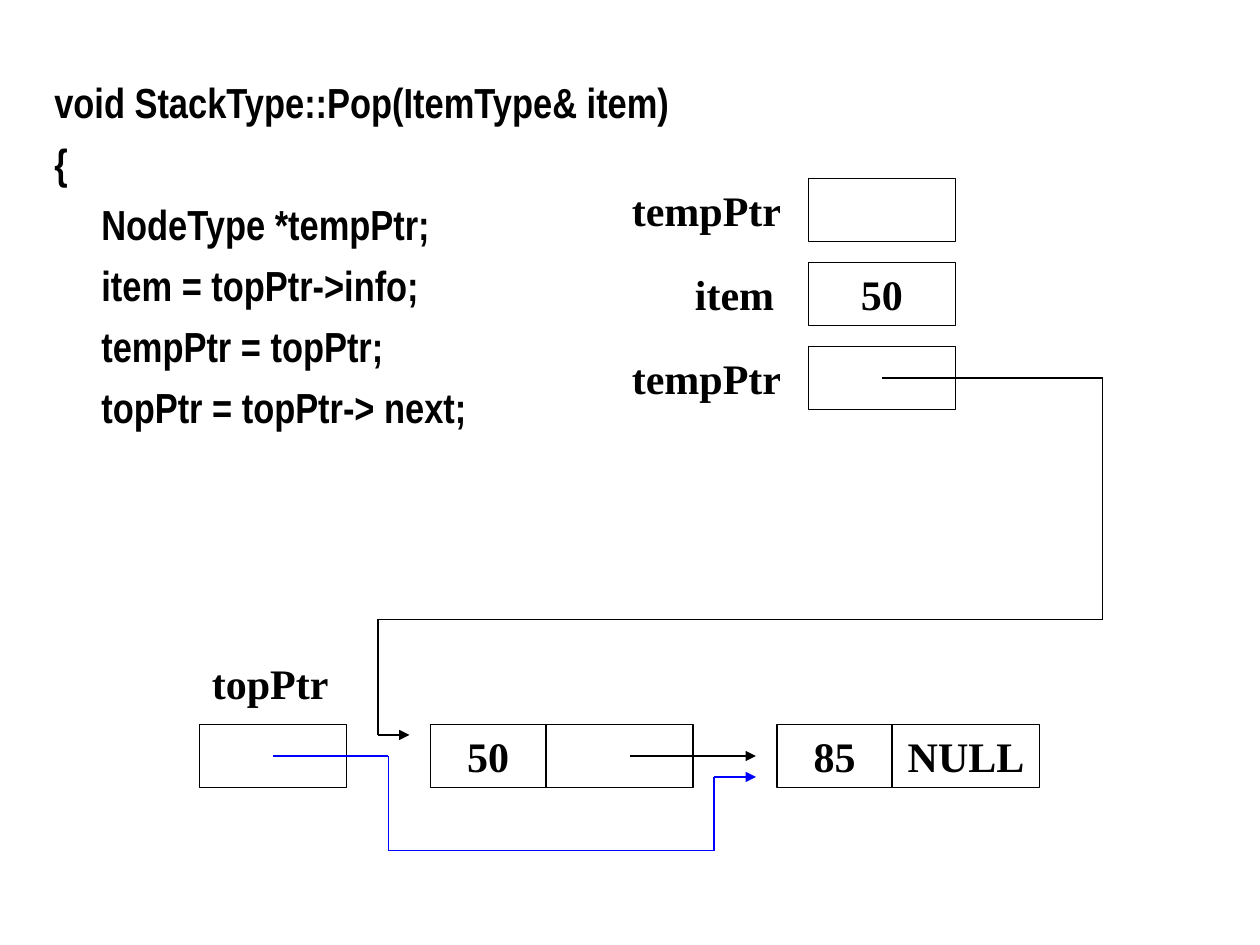
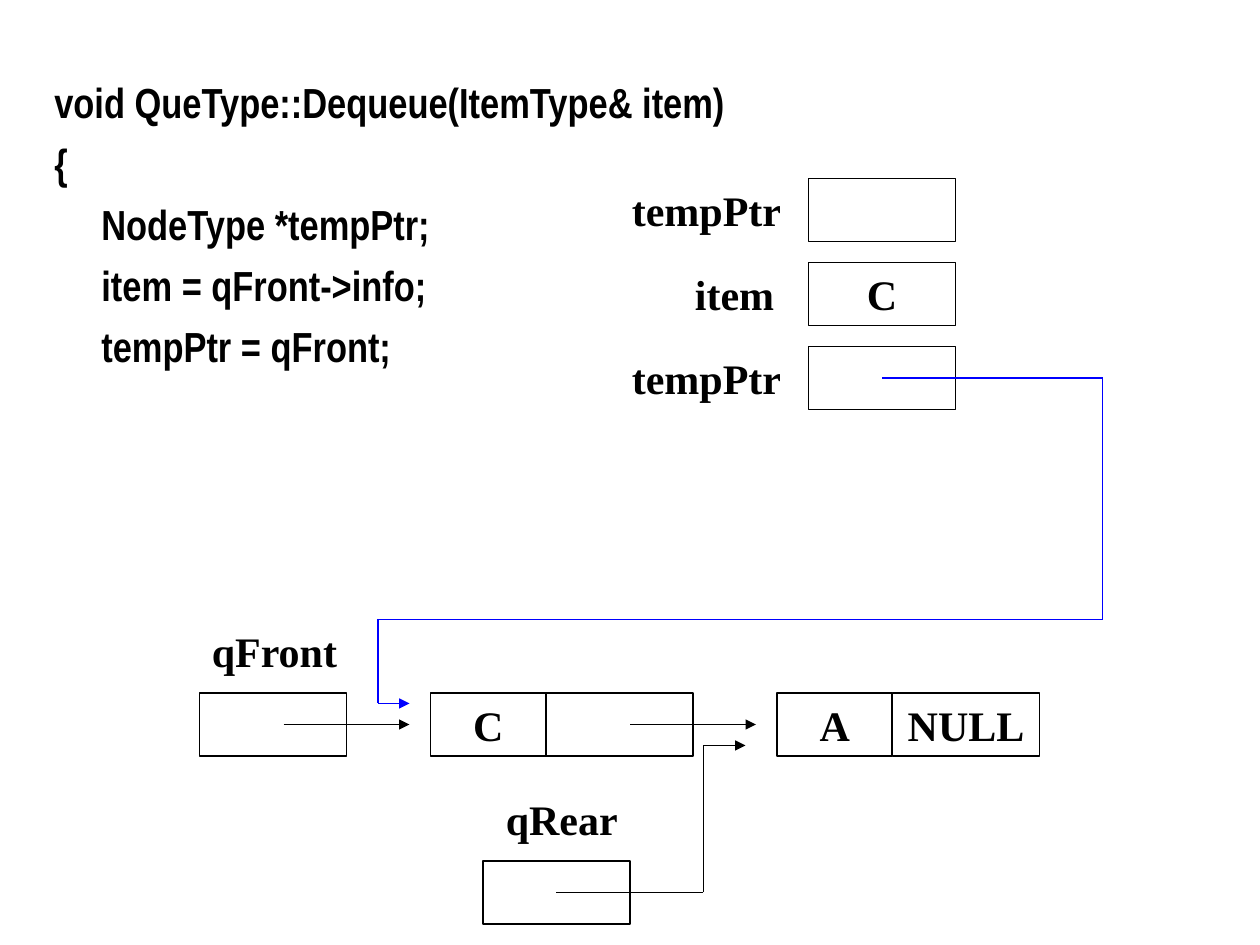
"""Build two slides that trace a stack pop and a queue dequeue on linked nodes."""
from itertools import pairwise

from lxml import etree
from pptx import Presentation
from pptx.dml.color import RGBColor
from pptx.enum.shapes import MSO_CONNECTOR, MSO_SHAPE
from pptx.enum.text import MSO_ANCHOR, MSO_AUTO_SIZE, PP_ALIGN
from pptx.oxml.ns import qn
from pptx.util import Cm, Pt

RECTANGLE = MSO_SHAPE.RECTANGLE
STRAIGHT = MSO_CONNECTOR.STRAIGHT
TOP, MIDDLE = MSO_ANCHOR.TOP, MSO_ANCHOR.MIDDLE
CENTER = PP_ALIGN.CENTER
NO_FIT, GROW = MSO_AUTO_SIZE.NONE, MSO_AUTO_SIZE.SHAPE_TO_FIT_TEXT

BLACK, BLUE, WHITE = "000000", "0000FF", "FFFFFF"
CODE_FONT, DIAGRAM_FONT = "Arial Narrow", "Times New Roman"
UNIT = Cm(2.54) // 12
CELL_HEIGHT, POINTER_WIDTH, INFO_WIDTH = 6, 14, 11
VARIABLE_LEFT, FRONT_LEFT = 77, 19
FIRST_NODE_LEFT, LAST_NODE_LEFT = 41, 74
LABEL_RISE = 7


def add_text(page, left, top, width, text, boxed=True):
    """Add a memory cell, or a plain label when boxed is False, on the grid."""
    place = [UNIT * length for length in (left, top, width, CELL_HEIGHT)]
    if boxed:
        box = page.shapes.add_shape(RECTANGLE, *place)
        box.shadow.inherit = False
        box.fill.solid()
        box.fill.fore_color.rgb = RGBColor.from_string(WHITE)
        box.line.color.rgb = RGBColor.from_string(BLACK)
        box.line.width = Pt(1)
    else:
        box = page.shapes.add_textbox(*place)
        box.text_frame.auto_size = GROW
    frame = box.text_frame
    frame.word_wrap = not boxed
    frame.vertical_anchor = MIDDLE if boxed else TOP
    frame.text = text
    para = frame.paragraphs[0]
    if boxed:
        para.alignment = CENTER
    for span in para.runs:
        span.font.name = DIAGRAM_FONT
        span.font.size = Pt(24)
        span.font.bold = True
        span.font.color.rgb = RGBColor.from_string(BLACK)


def add_arrow(page, points, colour):
    """Join the grid points with straight lines and end in an arrowhead."""
    for start, end in pairwise(points):
        line = page.shapes.add_connector(
            STRAIGHT, *[UNIT * length for length in (*start, *end)])
        line.line.color.rgb = RGBColor.from_string(colour)
        line.line.width = Pt(1)
        properties = line.element.spPr
        etree.SubElement(properties, qn("a:effectLst"))
    outline = properties.find(qn("a:ln"))
    etree.SubElement(outline, qn("a:tailEnd"), type="triangle")


slides = [
    {
        "code": ["void StackType::Pop(ItemType& item)", "{",
                 "NodeType *tempPtr;", "item = topPtr->info;",
                 "tempPtr = topPtr;", "topPtr = topPtr-> next;"],
        "pointer": "topPtr", "first": "50", "last": "85",
        "row": 69, "temp_colour": BLACK,
        "arrows": [([(26, 72), (37, 72), (37, 81), (68, 81), (68, 74), (72, 74)], BLUE)],
    },
    {
        "code": ["void QueType::Dequeue(ItemType& item)", "{",
                 "NodeType *tempPtr;", "item = qFront->info;",
                 "tempPtr = qFront;"],
        "pointer": "qFront", "first": "C", "last": "A",
        "row": 66, "temp_colour": BLUE,
        "arrows": [([(27, 69), (39, 69)], BLACK),
                   ([(53, 85), (67, 85), (67, 71), (71, 71)], BLACK)],
    },
]

deck = Presentation()
deck.slide_width, deck.slide_height = Cm(25.4), Cm(19.05)

for content in slides:
    page = deck.slides.add_slide(deck.slide_layouts[1])
    title = page.shapes.title.element
    title.getparent().remove(title)

    body = page.placeholders[1]
    body.left, body.top, body.width, body.height = Cm(0.84), Cm(1.42), Cm(24.1), Cm(13.62)
    frame = body.text_frame
    frame.text = "\n".join(content["code"])
    frame.auto_size = NO_FIT
    frame.vertical_anchor = TOP
    for number, para in enumerate(frame.paragraphs):
        properties = para._p.get_or_add_pPr()
        properties.set("marL", str(Cm(0.95) if number > 1 else 0))
        properties.set("indent", "0")
        etree.SubElement(properties, qn("a:buNone"))
        para.space_before = Pt(6 if number else 0)
        for span in para.runs:
            span.font.name = CODE_FONT
            span.font.size = Pt(24)
            span.font.bold = True
            span.font.color.rgb = RGBColor.from_string(BLACK)

    variables = [("tempPtr", 59, ""), ("item", 65, content["first"]), ("tempPtr", 59, "")]
    for number, (name, label_left, value) in enumerate(variables):
        top = 17 + 8 * number
        add_text(page, VARIABLE_LEFT, top, POINTER_WIDTH, value)
        add_text(page, label_left, top, 81 - label_left, name, boxed=False)

    row = content["row"]
    middle = row + CELL_HEIGHT // 2
    add_text(page, FRONT_LEFT, row, POINTER_WIDTH, "")
    add_text(page, FRONT_LEFT, row - LABEL_RISE, 18, content["pointer"], boxed=False)
    nodes = [(FIRST_NODE_LEFT, content["first"], ""), (LAST_NODE_LEFT, content["last"], "NULL")]
    for left, info, link in nodes:
        add_text(page, left, row, INFO_WIDTH, info)
        add_text(page, left + INFO_WIDTH, row, POINTER_WIDTH, link)

    if content["pointer"] == "qFront":
        add_text(page, 46, 82, POINTER_WIDTH, "")
        add_text(page, 47, 82 - LABEL_RISE, 18, "qRear", boxed=False)

    add_arrow(page, [(60, middle), (72, middle)], BLACK)
    temp_route = [(84, 36), (105, 36), (105, 59), (36, 59), (36, row + 1), (39, row + 1)]
    add_arrow(page, temp_route, content["temp_colour"])
    for points, colour in content["arrows"]:
        add_arrow(page, points, colour)

deck.save("out.pptx")
